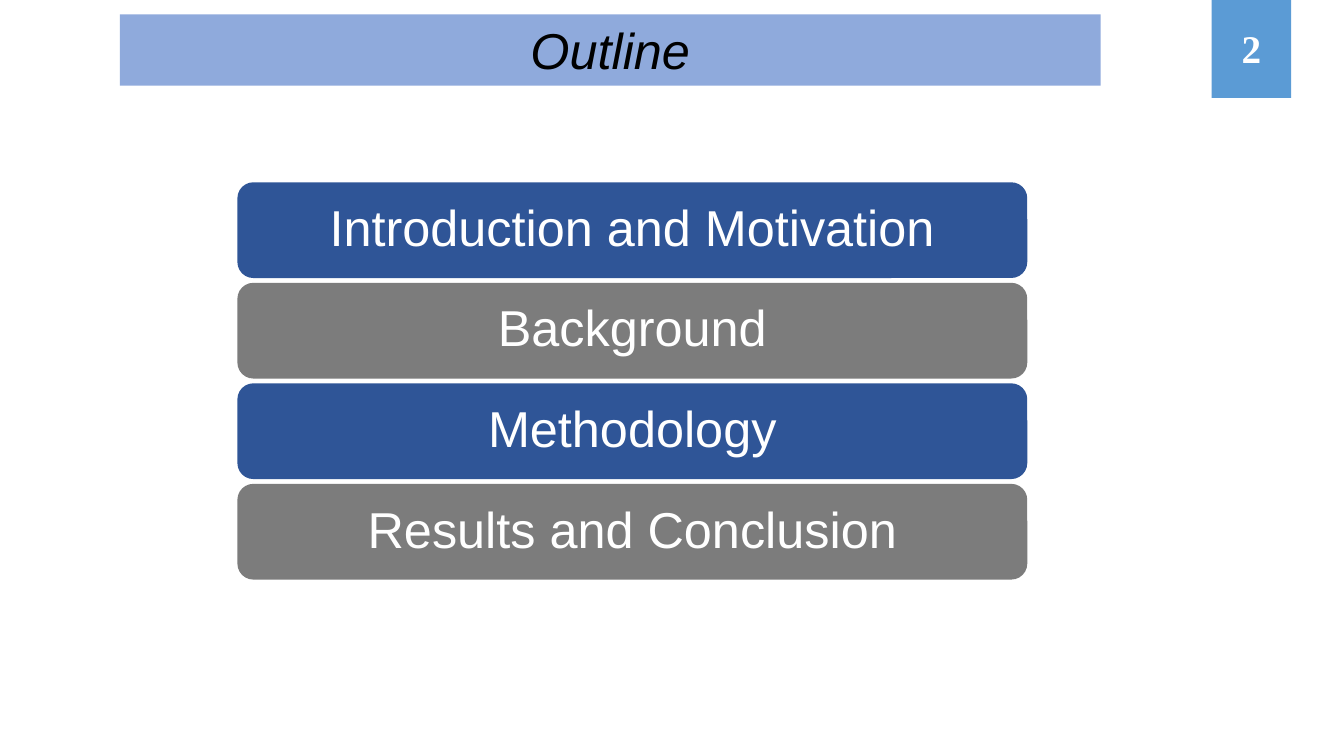
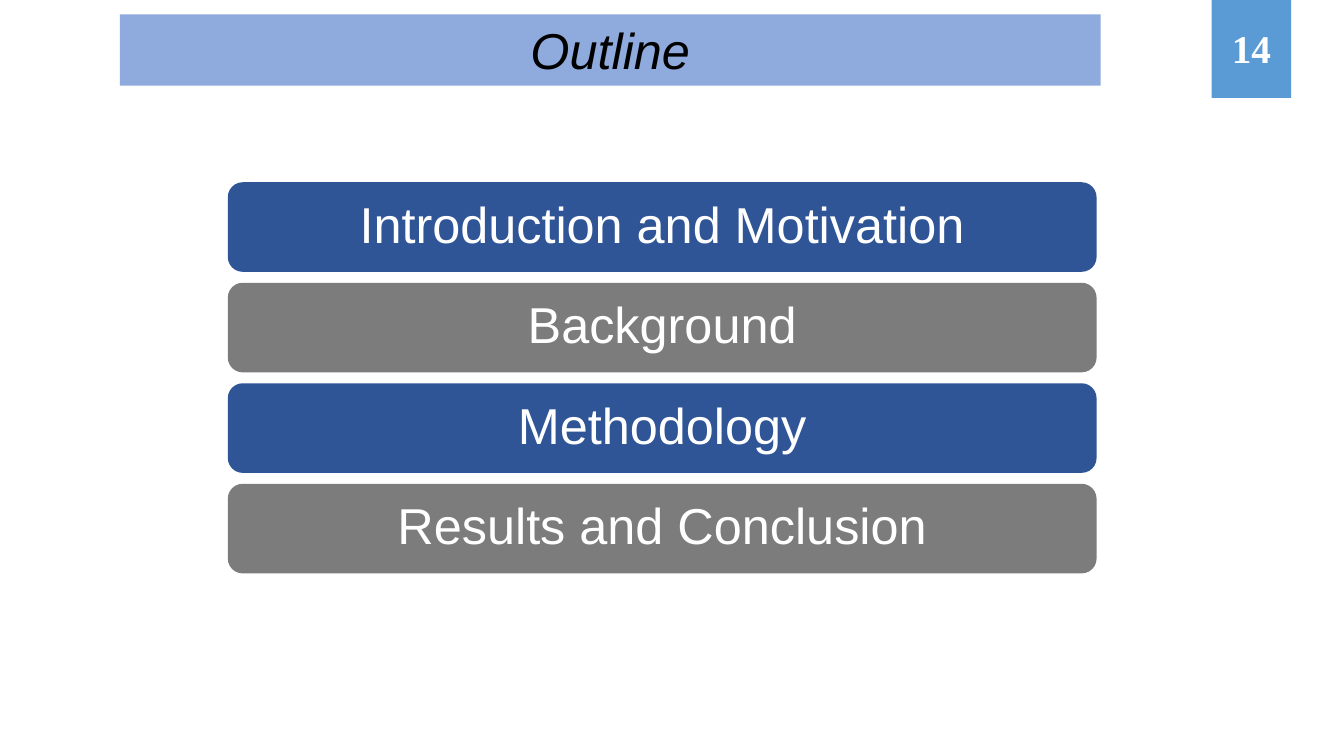
from pptx import Presentation
from pptx.dml.color import RGBColor
from pptx.enum.shapes import MSO_SHAPE
from pptx.enum.text import MSO_ANCHOR, PP_ALIGN
from pptx.util import Pt

RECTANGLE = MSO_SHAPE.RECTANGLE
ROUNDED = MSO_SHAPE.ROUNDED_RECTANGLE
TOP = MSO_ANCHOR.TOP
MIDDLE = MSO_ANCHOR.MIDDLE
CENTER = PP_ALIGN.CENTER

COLORS = {
    "badge": "5B9BD5",
    "title_band": "8FAADC",
    "blue": "2F5597",
    "gray": "7C7C7C",
    "white": "FFFFFF",
    "black": "000000",
}
BODY_FONT = "Arial"
NUMBER_FONT = "Times New Roman"
HEADING_SIZE = 36
TOPICS = [
    "Introduction and Motivation",
    "Background",
    "Methodology",
    "Results and Conclusion",
]
TOPIC_FILLS = ["blue", "gray"]
TOPICS_TOP = 130.2
TOPIC_PITCH = 71.8
TOPIC_INSET = 13.7


def add_block(slide, kind, box, fill, text, color, size=HEADING_SIZE,
              font_name=BODY_FONT, anchor=MIDDLE):
    shape = slide.shapes.add_shape(kind, *(Pt(length) for length in box))
    shape.shadow.inherit = False
    shape.fill.solid()
    shape.fill.fore_color.rgb = RGBColor.from_string(COLORS[fill])
    shape.line.fill.background()
    frame = shape.text_frame
    frame.text = text
    frame.word_wrap = True
    frame.vertical_anchor = anchor
    paragraph = frame.paragraphs[0]
    paragraph.alignment = CENTER
    font = paragraph.runs[0].font
    font.name = font_name
    font.size = Pt(size)
    font.color.rgb = RGBColor.from_string(COLORS[color])
    return shape


def add_page_number(slide, number):
    badge = add_block(slide, RECTANGLE, (865.4, -1.4, 56.9, 71.3), "badge",
                      str(number), "white", 28, NUMBER_FONT)
    badge.text_frame.paragraphs[0].runs[0].font.bold = True


def add_title(slide, text):
    band = add_block(slide, RECTANGLE, (85.7, 10.2, 700.5, 51), "title_band",
                     text, "black", anchor=TOP)
    band.text_frame.paragraphs[0].runs[0].font.italic = True


def add_topics(slide, left, width, height):
    for index, topic in enumerate(TOPICS):
        box = (left, TOPICS_TOP + index * TOPIC_PITCH, width, height)
        fill = TOPIC_FILLS[index % len(TOPIC_FILLS)]
        bar = add_block(slide, ROUNDED, box, fill, topic, "white")
        frame = bar.text_frame
        frame.margin_left = frame.margin_right = Pt(TOPIC_INSET)
        frame.margin_top = frame.margin_bottom = Pt(TOPIC_INSET)
        frame.paragraphs[0].line_spacing = 0.9


def add_outline_slide(presentation, number, left, width, height):
    slide = presentation.slides.add_slide(presentation.slide_layouts[6])
    add_page_number(slide, number)
    add_topics(slide, left, width, height)
    add_title(slide, "Outline")


def main():
    presentation = Presentation()
    presentation.slide_width = Pt(960)
    presentation.slide_height = Pt(540)
    add_outline_slide(presentation, 2, left=169.6, width=564.2, height=68.4)
    add_outline_slide(presentation, 14, left=162.7, width=620.6, height=64)
    presentation.save("out.pptx")


if __name__ == "__main__":
    main()
